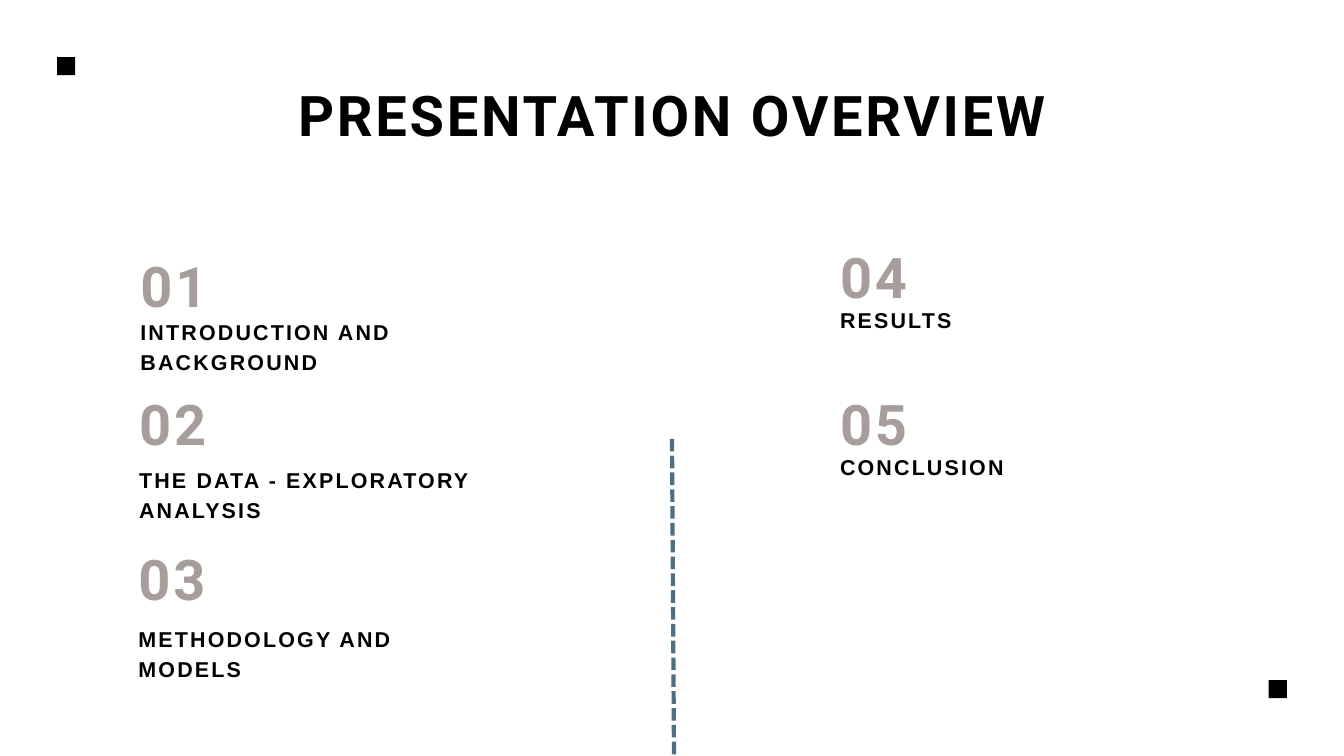
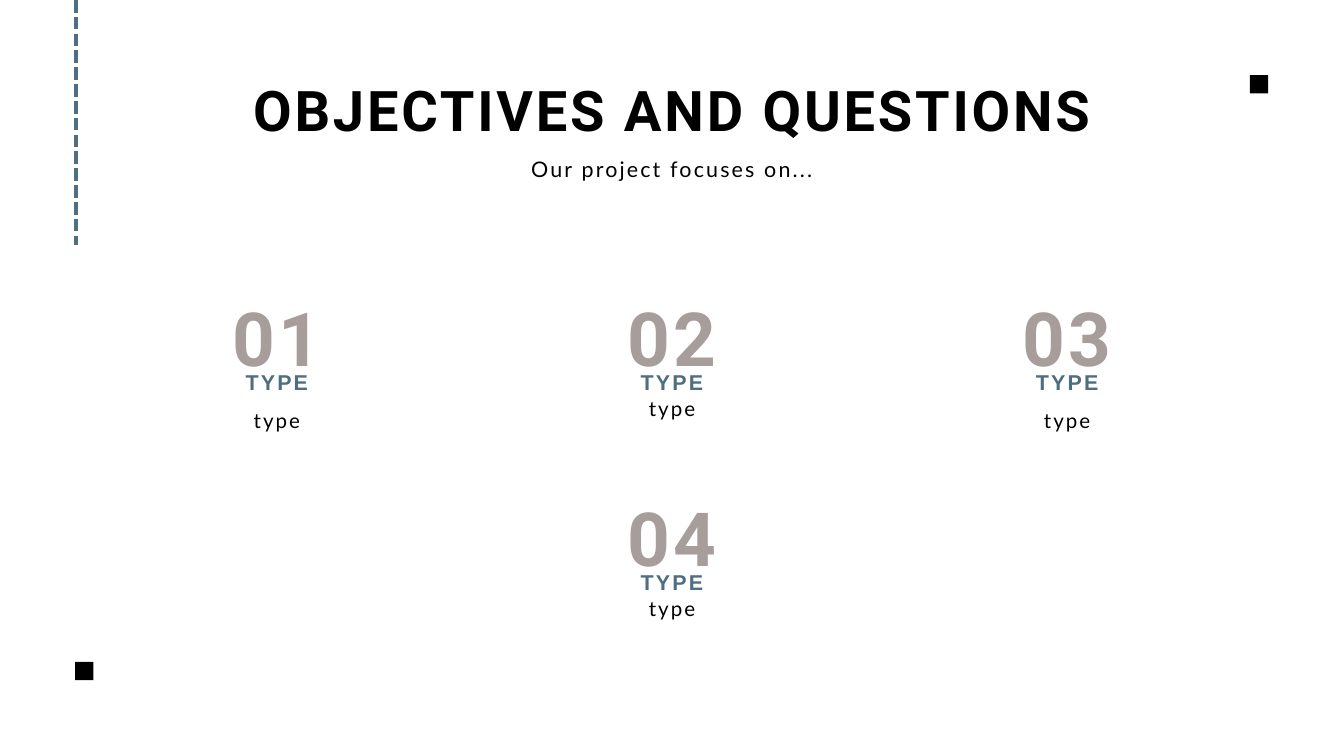
import pptx
import pptx.util
import pptx.dml.color
import pptx.enum.dml
import pptx.enum.shapes
import pptx.enum.text
import pptx.oxml.ns
import lxml.etree
from collections import namedtuple

Inches = pptx.util.Inches
Pt = pptx.util.Pt
ALIGN = pptx.enum.text.PP_ALIGN

BLACK, TAUPE, BLUE = "000000", "A79E9C", "4E6E81"

Style = namedtuple("Style", "size font color bold track lead")
TITLE = Style(60, "Roboto", BLACK, True, 0.05, 1.4)
NUMBER = TITLE._replace(color=TAUPE)
LARGE = NUMBER._replace(size=80)
LABEL = Style(23, "Arial", BLACK, True, 0.1, 1.4)
HEADING = LABEL._replace(color=BLUE)
INTRO = LABEL._replace(font="Lato", bold=False)
BODY = INTRO._replace(size=22, lead=1.6)


def paint(target, color):
    target.rgb = pptx.dml.color.RGBColor.from_string(color)


def add_text(slide, words, box, style, align=ALIGN.CENTER):
    shape = slide.shapes.add_textbox(*map(Inches, box))
    frame = shape.text_frame
    frame.word_wrap = True
    frame.auto_size = pptx.enum.text.MSO_AUTO_SIZE.SHAPE_TO_FIT_TEXT
    frame.margin_left = frame.margin_right = 0
    frame.margin_top = frame.margin_bottom = 0
    para = frame.paragraphs[0]
    para.alignment = align
    para.line_spacing = Pt(style.size * style.lead)
    run = para.add_run()
    run.text = words
    run.font.size = Pt(style.size)
    run.font.name = style.font
    run.font.bold = style.bold
    paint(run.font.color, style.color)
    props = run._r.get_or_add_rPr()
    props.set("spc", str(round(style.size * style.track * 100)))


def add_square(slide, left, top):
    side = Inches(0.27)
    kind = pptx.enum.shapes.MSO_SHAPE.RECTANGLE
    shape = slide.shapes.add_shape(kind, Inches(left), Inches(top), side, side)
    shape.shadow.inherit = False
    shape.fill.solid()
    paint(shape.fill.fore_color, BLACK)
    shape.line.fill.background()


def add_dash(slide, *ends):
    kind = pptx.enum.shapes.MSO_CONNECTOR.STRAIGHT
    line = slide.shapes.add_connector(kind, *map(Inches, ends))
    paint(line.line.color, BLUE)
    line.line.width = Pt(4.5)
    line.line.dash_style = pptx.enum.dml.MSO_LINE.SQUARE_DOT
    props = line._element.spPr
    lxml.etree.SubElement(props, pptx.oxml.ns.qn("a:effectLst"))


def add_topic(slide, number, words, left, top, label_top, width=5.22):
    add_text(slide, number, (left, top, 5.22, 1.18), NUMBER, ALIGN.LEFT)
    add_text(slide, words, (left, label_top, width, 0.43), LABEL, ALIGN.LEFT)


def add_card(slide, number, column, top, body_gap):
    left = 1.51 + column * 5.88
    add_text(slide, number, (left, top, 5.22, 1.55), LARGE)
    add_text(slide, "TYPE", (left, top + 1.31, 5.22, 0.43), HEADING)
    add_text(slide, "type", (left, top + body_gap, 5.22, 0.46), BODY)


def show_overview(slide):
    add_text(slide, "PRESENTATION OVERVIEW", (2.06, 1.03, 15.88, 1.18), TITLE)
    add_topic(slide, "01", "INTRODUCTION AND BACKGROUND", 2.09, 3.57, 4.69, 6.36)
    add_topic(slide, "02", "THE DATA - EXPLORATORY ANALYSIS", 2.07, 5.63, 6.89, 6.79)
    add_topic(slide, "03", "METHODOLOGY AND MODELS", 2.06, 7.94, 9.25)
    add_topic(slide, "04", "RESULTS", 12.5, 3.44, 4.51)
    add_topic(slide, "05", "CONCLUSION", 12.5, 5.63, 6.7)
    add_dash(slide, 10, 6.53, 10.03, 11.25)
    add_square(slide, 18.88, 10.12)
    add_square(slide, 0.85, 0.85)


def show_goals(slide):
    add_text(slide, "OBJECTIVES AND QUESTIONS", (1.51, 0.95, 16.98, 1.18), TITLE)
    add_text(slide, "Our project focuses on...", (1.51, 2.26, 16.98, 0.44), INTRO)
    add_card(slide, "01", 0, 4.12, 1.83)
    add_card(slide, "02", 1, 4.12, 1.65)
    add_card(slide, "03", 2, 4.12, 1.83)
    add_card(slide, "04", 1, 7.1, 1.65)
    add_dash(slide, 1.13, 0, 1.13, 3.65)
    add_square(slide, 1.12, 9.85)
    add_square(slide, 18.6, 1.12)


def main():
    deck = pptx.Presentation()
    deck.slide_width = Inches(20)
    deck.slide_height = Inches(11.25)
    for show in (show_overview, show_goals):
        show(deck.slides.add_slide(deck.slide_layouts[6]))
    deck.save("out.pptx")


if __name__ == "__main__":
    main()
